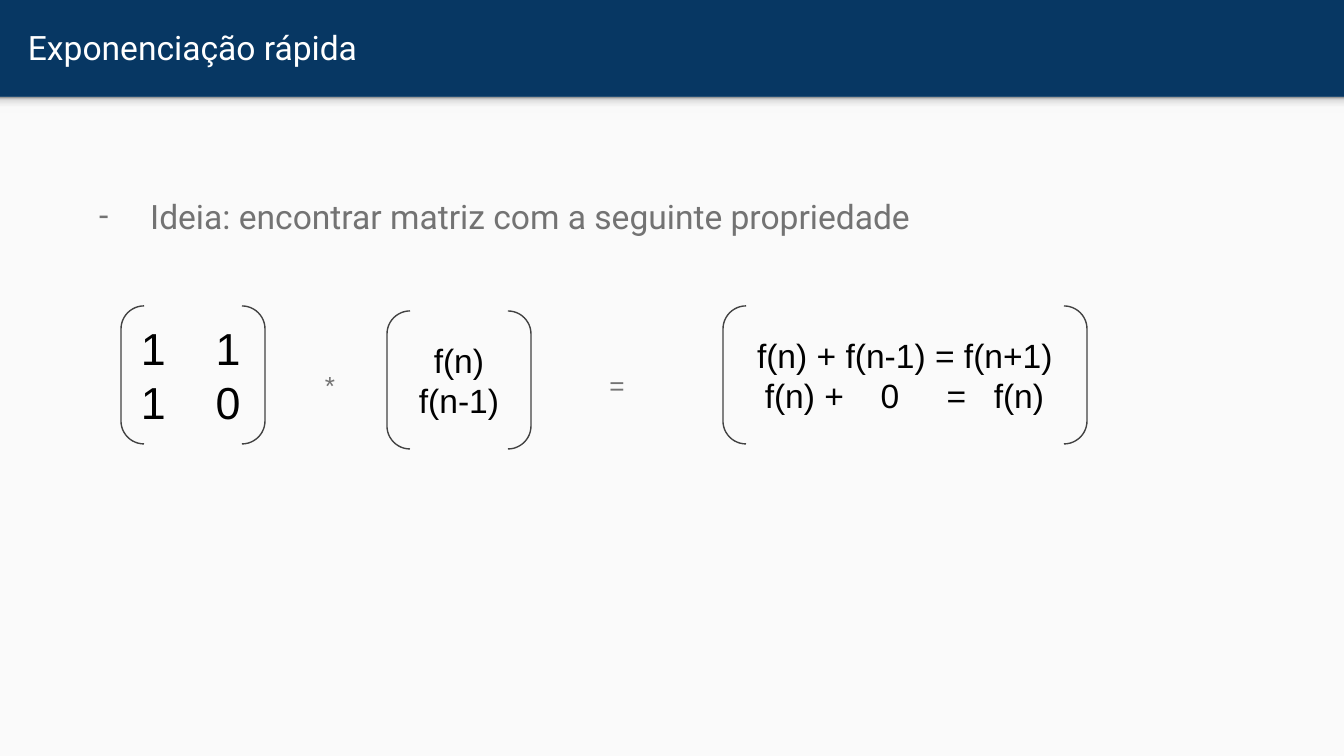
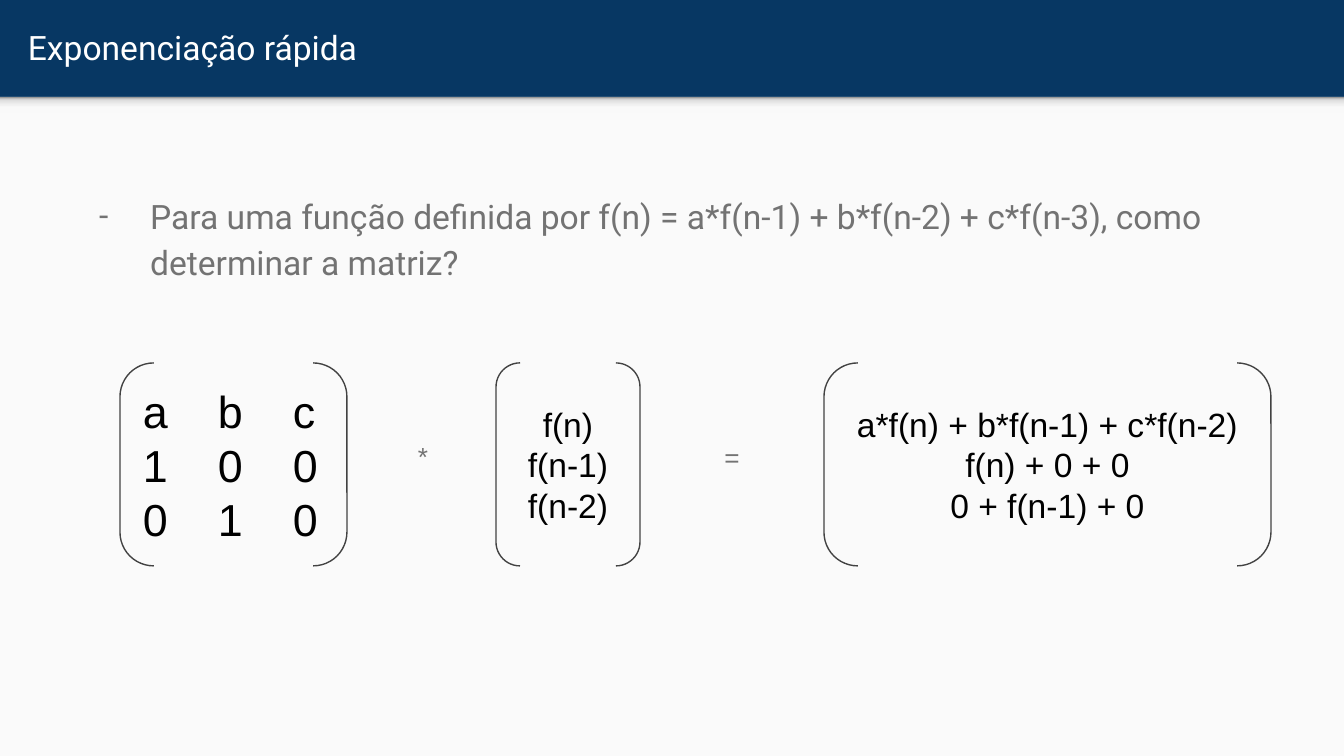
"""Two slides on fast exponentiation with matrix equations in brackets."""
from lxml import etree
from pptx import Presentation
from pptx import util as u
from pptx.dml.color import RGBColor
from pptx.enum import shapes, text
from pptx.oxml import parse_xml
from pptx.oxml.ns import qn

PX = 914400 / 134.4
WIDTH, HEIGHT = 1344, 756
BAND_HEIGHT = 97
MARGIN = 13
COLUMN_PITCH = 75
OPERATOR_HEIGHT = 36
COLORS = {
    "navy": "073763", "paper": "FAFAFA", "white": "FFFFFF",
    "grey": "737373", "outline": "424242", "black": "000000",
}
SHADOW_STOPS = [(0, "F9F9F9"), (36, "F9F9F9"), (80, "DEDEDE"), (100, "999999")]
OPERATOR_WIDTHS = {"*": 36, "=": 52}
TITLE = "Exponenciação rápida"
MATRIX_TABS = [COLUMN_PITCH, 2 * COLUMN_PITCH]
SUM_TABS = [22, 138, 204, 251]

SLIDES = [
    {
        "idea": "Ideia: encontrar matriz com a seguinte propriedade",
        "idea_height": 89,
        "bracket_height": 138,
        "brackets": [
            (121, 306, 144, 24, MATRIX_TABS, ["1\t1", "1\t0"]),
            (387, 311, 144, 18, [], ["f(n)", "f(n-1)"]),
            (723, 306, 364, 18, SUM_TABS,
             ["f(n) + f(n-1) = f(n+1)", "\tf(n) +\t0\t=\tf(n)"]),
        ],
        "operators": [("*", 312, 362), ("=", 591, 362)],
    },
    {
        "idea": "Para uma função definida por f(n) = a*f(n-1) + b*f(n-2) + c*f(n-3), "
                "como determinar a matriz?",
        "idea_height": 132,
        "bracket_height": 203,
        "brackets": [
            (120, 363, 227, 24, MATRIX_TABS, ["a\tb\tc", "1\t0\t0", "0\t1\t0"]),
            (496, 363, 144, 18, [], ["f(n)", "f(n-1)", "f(n-2)"]),
            (824, 363, 447, 18, [],
             ["a*f(n) + b*f(n-1) + c*f(n-2)", "f(n) + 0 + 0", "0 + f(n-1) + 0"]),
        ],
        "operators": [("*", 405, 433), ("=", 706, 434)],
    },
]


def px(value):
    return u.Emu(round(value * PX))


def color(name):
    return RGBColor.from_string(COLORS[name])


def write(shape, lines, size, font, ink, anchor, align, side=MARGIN, edge=MARGIN):
    frame = shape.text_frame
    frame.word_wrap = True
    frame.vertical_anchor = anchor
    frame.margin_left = frame.margin_right = px(side)
    frame.margin_top = frame.margin_bottom = px(edge)
    frame.text = "\n".join(lines)
    for paragraph in frame.paragraphs:
        paragraph.alignment = align
        for run in paragraph.runs:
            run.font.size = u.Pt(size)
            run.font.name = font
            run.font.color.rgb = color(ink)
    return frame.paragraphs


def add_text(slide, box, *style):
    return write(slide.shapes.add_textbox(*map(px, box)), *style)


def add_panel(slide, box):
    panel = slide.shapes.add_shape(shapes.MSO_SHAPE.RECTANGLE, *map(px, box))
    panel.shadow.inherit = False
    panel.line.fill.background()
    panel.fill.solid()
    panel.fill.fore_color.rgb = color("paper")
    return panel


def add_frame(slide):
    slide.background.fill.solid()
    slide.background.fill.fore_color.rgb = color("navy")
    add_panel(slide, (0, BAND_HEIGHT, WIDTH, HEIGHT - BAND_HEIGHT))
    shadow = add_panel(slide, (0, BAND_HEIGHT, WIDTH, 16))
    stops = "".join(
        f'<a:gs pos="{place * 1000}"><a:srgbClr val="{shade}"/></a:gs>'
        for place, shade in SHADOW_STOPS)
    gradient = parse_xml(
        '<a:gradFill xmlns:a="http://schemas.openxmlformats.org/drawingml/2006/main">'
        f'<a:gsLst>{stops}</a:gsLst><a:lin ang="16200000" scaled="0"/></a:gradFill>')
    properties = shadow.element.spPr
    properties.replace(properties.find(qn("a:solidFill")), gradient)
    add_text(slide, (15, 3, 1297, 89), [TITLE], 18, "Roboto", "white",
             text.MSO_ANCHOR.MIDDLE, text.PP_ALIGN.LEFT)


def add_idea(slide, idea, height):
    paragraph = add_text(slide, (70, 177, 1208, height), [idea], 18, "Roboto", "grey",
                         text.MSO_ANCHOR.TOP, text.PP_ALIGN.LEFT)[0]
    paragraph.line_spacing = 1.15
    properties = paragraph._p.get_or_add_pPr()
    properties.set("marL", str(u.Inches(0.5)))
    properties.set("indent", str(-u.Inches(0.38)))
    bullet_color = etree.SubElement(properties, qn("a:buClr"))
    etree.SubElement(bullet_color, qn("a:srgbClr"), val=COLORS["grey"])
    etree.SubElement(properties, qn("a:buFont"), typeface="Roboto")
    etree.SubElement(properties, qn("a:buChar"), char="-")


def add_bracket(slide, box, size, tabs, rows):
    bracket = slide.shapes.add_shape(shapes.MSO_SHAPE.DOUBLE_BRACKET, *map(px, box))
    bracket.shadow.inherit = False
    bracket.fill.background()
    bracket.line.color.rgb = color("outline")
    bracket.line.width = u.Pt(0.75)
    paragraphs = write(bracket, rows, size, "Arial", "black",
                       text.MSO_ANCHOR.MIDDLE, text.PP_ALIGN.CENTER)
    for paragraph, row in zip(paragraphs, rows):
        if "\t" in row:
            paragraph.alignment = text.PP_ALIGN.LEFT
            tab_list = etree.SubElement(paragraph._p.get_or_add_pPr(), qn("a:tabLst"))
            for stop in tabs:
                etree.SubElement(tab_list, qn("a:tab"), pos=str(px(stop)), algn="l")


def add_operator(slide, sign, left, top):
    box = (left, top, OPERATOR_WIDTHS[sign], OPERATOR_HEIGHT)
    paragraph = add_text(slide, box, [sign], 14, "Arial", "grey",
                         text.MSO_ANCHOR.TOP, text.PP_ALIGN.CENTER, 0, 7)[0]
    outline = etree.Element(qn("a:ln"), w=str(u.Pt(0.75)))
    fill = etree.SubElement(outline, qn("a:solidFill"))
    etree.SubElement(fill, qn("a:srgbClr"), val=COLORS["outline"])
    paragraph.runs[0].font._element.insert(0, outline)


def main():
    presentation = Presentation()
    presentation.slide_width, presentation.slide_height = px(WIDTH), px(HEIGHT)
    for content in SLIDES:
        slide = presentation.slides.add_slide(presentation.slide_layouts[6])
        add_frame(slide)
        add_idea(slide, content["idea"], content["idea_height"])
        for left, top, width, size, tabs, rows in content["brackets"]:
            box = (left, top, width, content["bracket_height"])
            add_bracket(slide, box, size, tabs, rows)
        for operator in content["operators"]:
            add_operator(slide, *operator)
    presentation.save("out.pptx")


if __name__ == "__main__":
    main()
